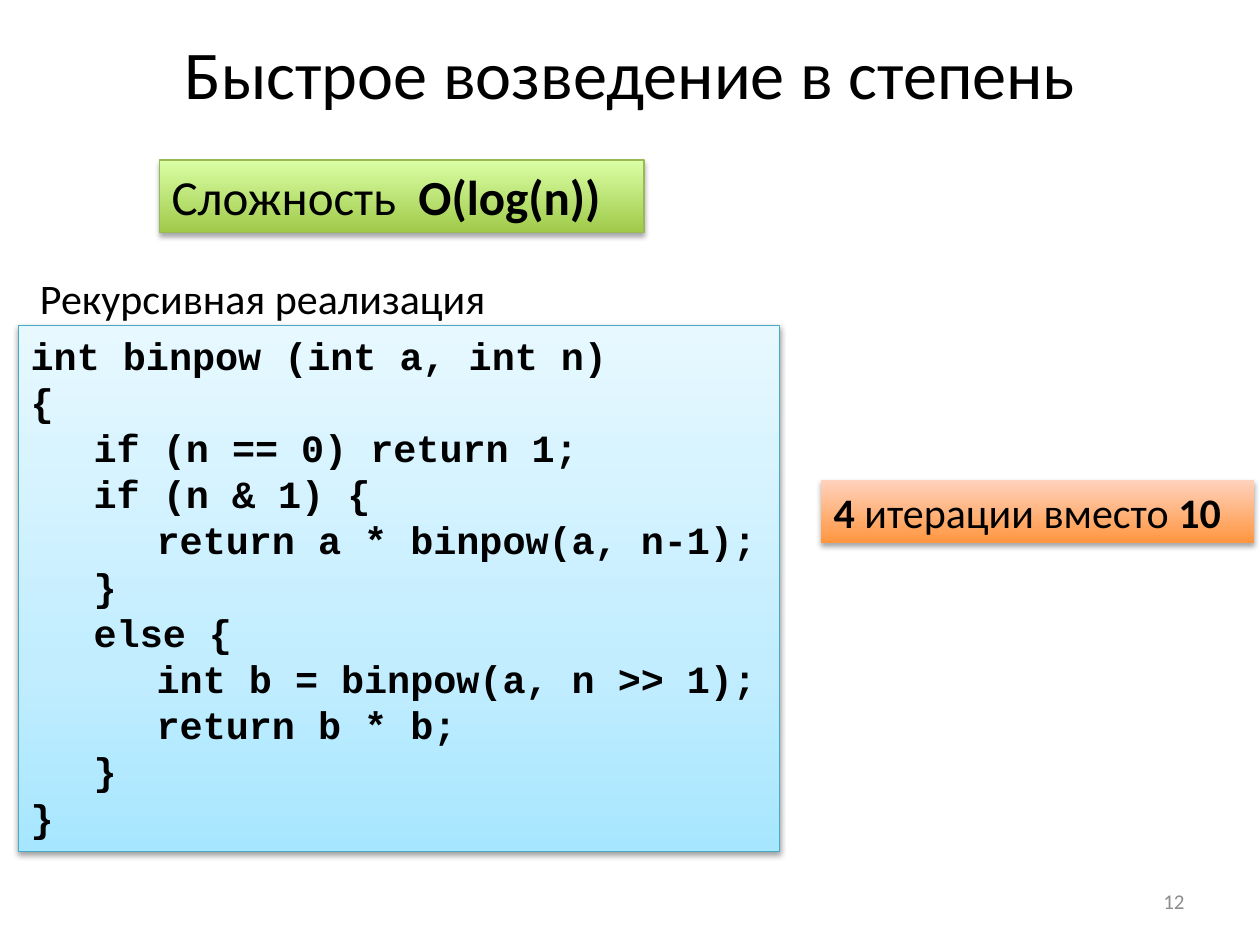
from copy import deepcopy

from pptx import Presentation
from pptx import util as u
from pptx.dml.color import RGBColor
from pptx.enum import shapes, text
from pptx.oxml import parse_xml
from pptx.oxml.ns import nsdecls, qn

BLACK = RGBColor(0, 0, 0)
GRAY = RGBColor(0x8C, 0x8C, 0x8C)
GREEN = RGBColor(0xA0, 0xCA, 0x4A)
LIME = RGBColor(0xDA, 0xFF, 0xA5)
MOSS = RGBColor(0x98, 0xB9, 0x55)
ORANGE = RGBColor(0xFF, 0x95, 0x3E)
PEACH = RGBColor(0xFF, 0xD2, 0xBD)
SKY = RGBColor(0xA7, 0xE6, 0xFF)
PALE = RGBColor(0xC1, 0xED, 0xFF)
ICE = RGBColor(0xE7, 0xF8, 0xFF)
TEAL = RGBColor(0x46, 0xAA, 0xC5)

CODE = """int binpow (int a, int n)
{
\tif (n == 0) return 1;
\tif (n & 1) {
\t\treturn a * binpow(a, n-1);
\t}
\telse {
\t\tint b = binpow(a, n >> 1);
\t\treturn b * b;
\t}
}"""


class Painter:
    """Holds the text style and the current slide."""
    style = {"name": "Calibri", "size": 24, "bold": False, "color": BLACK}
    tab = 36

    def __init__(self, slide):
        self.slide = slide

    def letter(self, shape, lines, align=text.PP_ALIGN.LEFT,
               anchor=text.MSO_ANCHOR.TOP, **style):
        """Fill a shape with lines, each a list of (words, bold) runs."""
        frame = shape.text_frame
        frame.word_wrap = True
        frame.auto_size = text.MSO_AUTO_SIZE.NONE
        frame.vertical_anchor = anchor
        for i, line in enumerate(lines):
            para = frame.paragraphs[0] if i == 0 else frame.add_paragraph()
            para.alignment = align
            if any("\t" in words for words, _ in line):
                self.stops(para)
            for words, bold in line:
                run = para.add_run()
                run.text = words
                self.adorn(run.font, {**self.style, **style, "bold": bold})

    def adorn(self, font, values):
        """Set the font's attributes from a dict."""
        for key, value in values.items():
            if key == "color":
                font.color.rgb = value
            else:
                setattr(font, key, u.Pt(value) if key == "size" else value)

    def stops(self, para):
        tabs = "".join(f'<a:tab pos="{u.Pt(self.tab * n)}" algn="l"/>'
                       for n in (1, 2))
        props = para._p.get_or_add_pPr()
        props.append(parse_xml(f'<a:tabLst {nsdecls("a")}>{tabs}</a:tabLst>'))

    def title(self, box, words, **style):
        shape = self.slide.shapes.title
        for key, value in zip(("left", "top", "width", "height"), box):
            setattr(shape, key, u.Pt(value))
        self.letter(shape, [[(words, False)]], text.PP_ALIGN.CENTER,
                    text.MSO_ANCHOR.MIDDLE, **style)
        shape.text_frame.paragraphs[0].line_spacing = 0.9

    def label(self, box, words, **style):
        shape = self.slide.shapes.add_textbox(*map(u.Pt, box))
        self.letter(shape, [[(words, False)]], **style)

    def panel(self, box, lines, blend, edge=None, shade=(35, 1.8), **style):
        """Draw a shadowed box; blend lists (place, colour) from the bottom up."""
        shape = self.slide.shapes.add_shape(
            shapes.MSO_SHAPE.RECTANGLE, *map(u.Pt, box))
        self.blend(shape, blend)
        if edge:
            shape.line.color.rgb = edge
            shape.line.width = u.Pt(0.75)
        else:
            shape.line.fill.background()
        self.shade(shape, *shade)
        self.letter(shape, lines, **style)

    def blend(self, shape, colors):
        shape.fill.gradient()
        shape.fill.gradient_angle = 90
        group = shape.element.spPr.find(".//" + qn("a:gsLst"))
        while len(group) < len(colors):
            group.append(deepcopy(group[0]))
        for stop, (place, color) in zip(shape.fill.gradient_stops, colors):
            stop.position = place
            stop.color.rgb = color

    def shade(self, shape, alpha, drop):
        shape.shadow.inherit = False
        shape.element.spPr.find(qn("a:effectLst")).append(parse_xml(
            f'<a:outerShdw {nsdecls("a")} blurRad="{u.Pt(3.1)}" '
            f'dist="{u.Pt(drop)}" dir="5400000" rotWithShape="0">'
            f'<a:srgbClr val="{BLACK}"><a:alpha val="{alpha * 1000}"/>'
            '</a:srgbClr></a:outerShdw>'))


def main():
    deck = Presentation()
    deck.slide_width, deck.slide_height = u.Pt(720), u.Pt(540)
    draw = Painter(deck.slides.add_slide(deck.slide_layouts[5]))

    draw.title((36, 18, 648, 52.5), "Быстрое возведение в степень", size=39)
    draw.label((516, 500.5, 168, 28.75), "12", size=12, color=GRAY,
               align=text.PP_ALIGN.RIGHT, anchor=text.MSO_ANCHOR.MIDDLE)
    draw.panel((469.25, 274.25, 247.5, 36.35),
               [[("4", True), (" итерации вместо ", False), ("10", True)]],
               [(0, ORANGE), (1, PEACH)])
    draw.panel((91, 91.5, 277, 41.2),
               [[("Сложность  ", False), ("O(log(n))", True)]],
               [(0, GREEN), (1, LIME)], MOSS, size=28)
    draw.label((15.75, 152, 309.5, 36.35), "Рекурсивная реализация")
    draw.panel((10.5, 186, 435, 300.5),
               [[(line, True)] for line in CODE.split("\n")],
               [(0, SKY), (0.35, PALE), (1, ICE)], TEAL, (38, 1.6),
               name="Courier New", size=22)
    deck.save("out.pptx")


if __name__ == "__main__":
    main()
